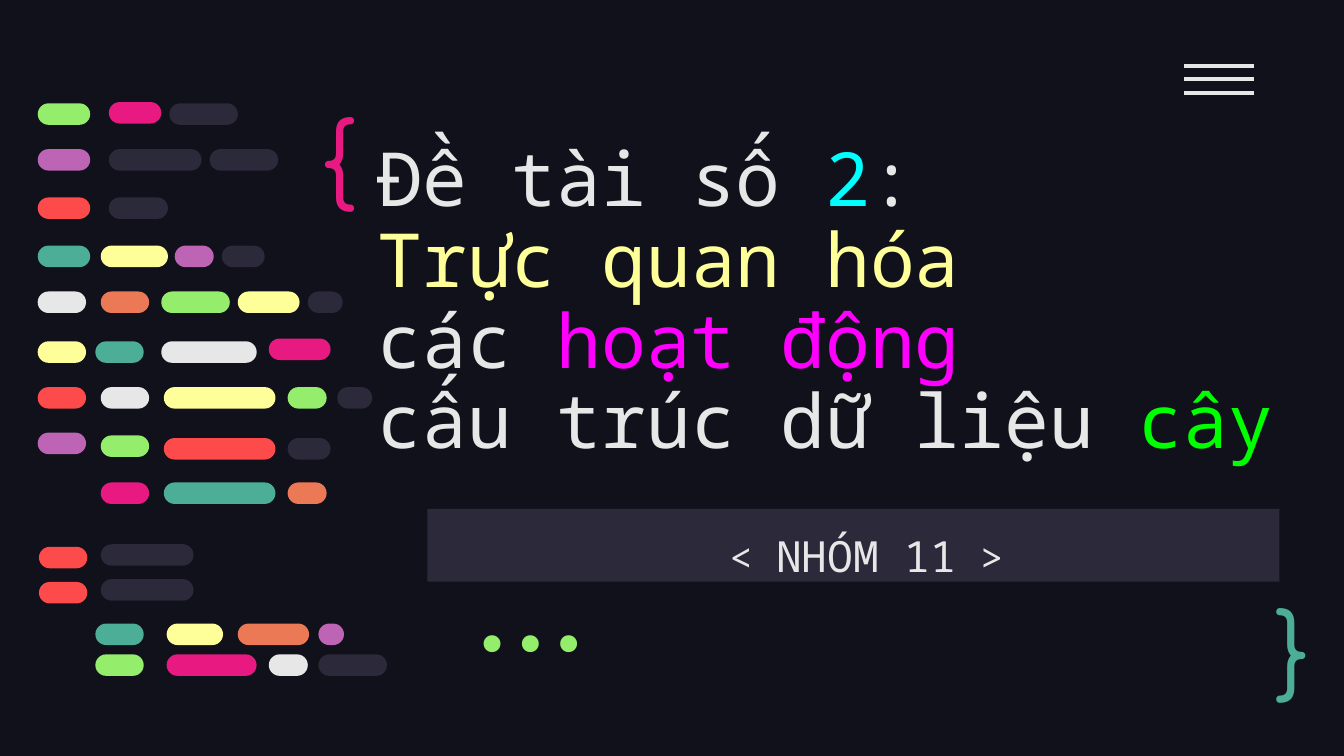
from lxml.etree import SubElement
from pptx import Presentation
from pptx.dml.color import RGBColor
from pptx.enum.shapes import MSO_CONNECTOR, MSO_SHAPE
from pptx.enum.text import MSO_ANCHOR, MSO_AUTO_SIZE, PP_ALIGN
from pptx.oxml.ns import qn
from pptx.util import Pt

WHITE, PINK, GREEN, TEAL = "E7E7E7", "E81A81", "94EE6B", "4CAE97"
YELLOW, RED, PURPLE, ORANGE, SLATE = "FFFF99", "FD4A4A", "BD64B5", "EC7955", "2C293A"


def paint(colour_format, colour):
    colour_format.rgb = RGBColor.from_string(colour)


def write(frame, lines, font, anchor, align=PP_ALIGN.LEFT, spacing=1.0, left=7.2):
    layout = {
        "word_wrap": True, "auto_size": MSO_AUTO_SIZE.NONE, "vertical_anchor": anchor,
        "margin_left": Pt(left), "margin_top": Pt(7.2),
        "margin_right": Pt(7.2), "margin_bottom": Pt(7.2),
    }
    for name, value in layout.items():
        setattr(frame, name, value)
    for index, line in enumerate(lines):
        paragraph = frame.add_paragraph() if index else frame.paragraphs[0]
        paragraph.alignment = align
        paragraph.line_spacing = spacing
        for words, size, colour in line:
            run = paragraph.add_run()
            run.text = words
            for name, value in {"name": font, "size": Pt(size)}.items():
                setattr(run.font, name, value)
            paint(run.font.color, colour)


deck = Presentation()
deck.slide_width, deck.slide_height = Pt(720), Pt(405)
slide = deck.slides.add_slide(deck.slide_layouts[5])
slide.background.fill.solid()
paint(slide.background.fill.fore_color, "10111A")

topic = slide.shapes.title
for name, value in {"left": 195.1, "top": 64.8, "width": 572.4, "height": 191.5}.items():
    setattr(topic, name, Pt(value))
topic_lines = [
    [("Đề tài số ", 40, WHITE), ("2", 40, "00FFFF"), (":", 40, WHITE)],
    [("Trực quan hóa", 40, YELLOW)],
    [("các ", 40, WHITE), ("hoạt động", 40, "FF00FF")],
    [("cấu trúc dữ liệu ", 40, WHITE), ("cây", 40, "00FF00")],
]
write(topic.text_frame, topic_lines, "Noto Sans Mono", MSO_ANCHOR.BOTTOM, spacing=0.9)

team = slide.shapes.add_shape(MSO_SHAPE.RECTANGLE, Pt(229), Pt(272.7), Pt(456.5), Pt(39))
team.shadow.inherit = False
team.fill.solid()
paint(team.fill.fore_color, SLATE)
team.line.fill.background()
team_line = [("< ", 21, WHITE), ("NHÓM 11", 23, WHITE), (" >", 21, WHITE)]
write(team.text_frame, [team_line], "Noto Sans Mono", MSO_ANCHOR.TOP,
      PP_ALIGN.CENTER, 1.15, left=21)

symbols = [
    ("{", 164.9, 44.6, 55.4, 68.4, "Comfortaa", PINK, MSO_ANCHOR.TOP, PP_ALIGN.LEFT),
    ("}", 676.1, 315.4, 41, 59.8, "Comfortaa", TEAL, MSO_ANCHOR.MIDDLE, PP_ALIGN.LEFT),
    ("...", 223.9, 323.3, 113.8, 43.2, "Fira Code", GREEN, MSO_ANCHOR.BOTTOM, PP_ALIGN.RIGHT),
]
for mark, left, top, width, height, font, colour, anchor, align in symbols:
    symbol = slide.shapes.add_textbox(Pt(left), Pt(top), Pt(width), Pt(height))
    write(symbol.text_frame, [[(mark, 50, colour)]], font, anchor, align)

menu = slide.shapes.add_group_shape()
for row in range(3):
    y = Pt(35.3 + 7.2 * row)
    bar = menu.shapes.add_connector(MSO_CONNECTOR.STRAIGHT, Pt(634.5), y, Pt(671.8), y)
    bar.line.width = Pt(2.25)
    paint(bar.line.color, WHITE)
    SubElement(bar._element.spPr, qn("a:effectLst"))

code_rows = [
    (55.4, [(20.2, 28.1, GREEN), (90.7, 36.7, SLATE)]),
    (54.7, [(58.3, 28.1, PINK)]),
    (79.9, [(20.2, 28.1, PURPLE), (58.3, 49.7, SLATE), (112.3, 36.7, SLATE)]),
    (105.8, [(20.2, 28.1, RED), (58.3, 31.7, SLATE)]),
    (131.6, [(20.2, 28.1, TEAL), (54, 36, YELLOW), (93.6, 20.9, PURPLE), (118.8, 23, SLATE)]),
    (156.2, [(20.2, 25.9, WHITE), (54, 25.9, ORANGE), (86.4, 36.7, GREEN),
             (127.4, 33.1, YELLOW), (164.9, 18.7, SLATE)]),
    (182.9, [(20.2, 25.9, YELLOW), (51.1, 25.9, TEAL), (86.4, 51.1, WHITE)]),
    (181.4, [(144, 33.1, PINK)]),
    (207.4, [(20.2, 25.9, RED), (54, 25.9, WHITE), (87.8, 59.8, YELLOW),
             (154.1, 20.9, GREEN), (180.7, 18.7, SLATE)]),
    (231.8, [(20.2, 25.9, PURPLE)]),
    (233.3, [(54, 25.9, GREEN)]),
    (234.7, [(87.8, 59.8, RED), (154.1, 23, SLATE)]),
    (258.5, [(54, 25.9, PINK), (87.8, 59.8, TEAL), (154.1, 20.9, ORANGE)]),
    (293, [(20.9, 25.9, RED)]),
    (291.6, [(54, 49.7, SLATE)]),
    (311.8, [(20.9, 25.9, RED)]),
    (310.3, [(54, 49.7, SLATE)]),
    (334.1, [(51.1, 25.9, TEAL), (89.3, 30.2, YELLOW), (127.4, 38.2, ORANGE),
             (170.6, 13.7, PURPLE)]),
    (350.6, [(51.1, 25.9, GREEN), (89.3, 48.2, PINK), (144, 20.9, WHITE), (170.6, 36.7, SLATE)]),
]
code = slide.shapes.add_group_shape()
for top, tokens in code_rows:
    for left, width, colour in tokens:
        token = code.shapes.add_shape(
            MSO_SHAPE.ROUNDED_RECTANGLE, Pt(left), Pt(top), Pt(width), Pt(11.5))
        token.adjustments[0] = 0.5
        token.shadow.inherit = False
        token.fill.solid()
        paint(token.fill.fore_color, colour)
        token.line.fill.background()

deck.save("out.pptx")
